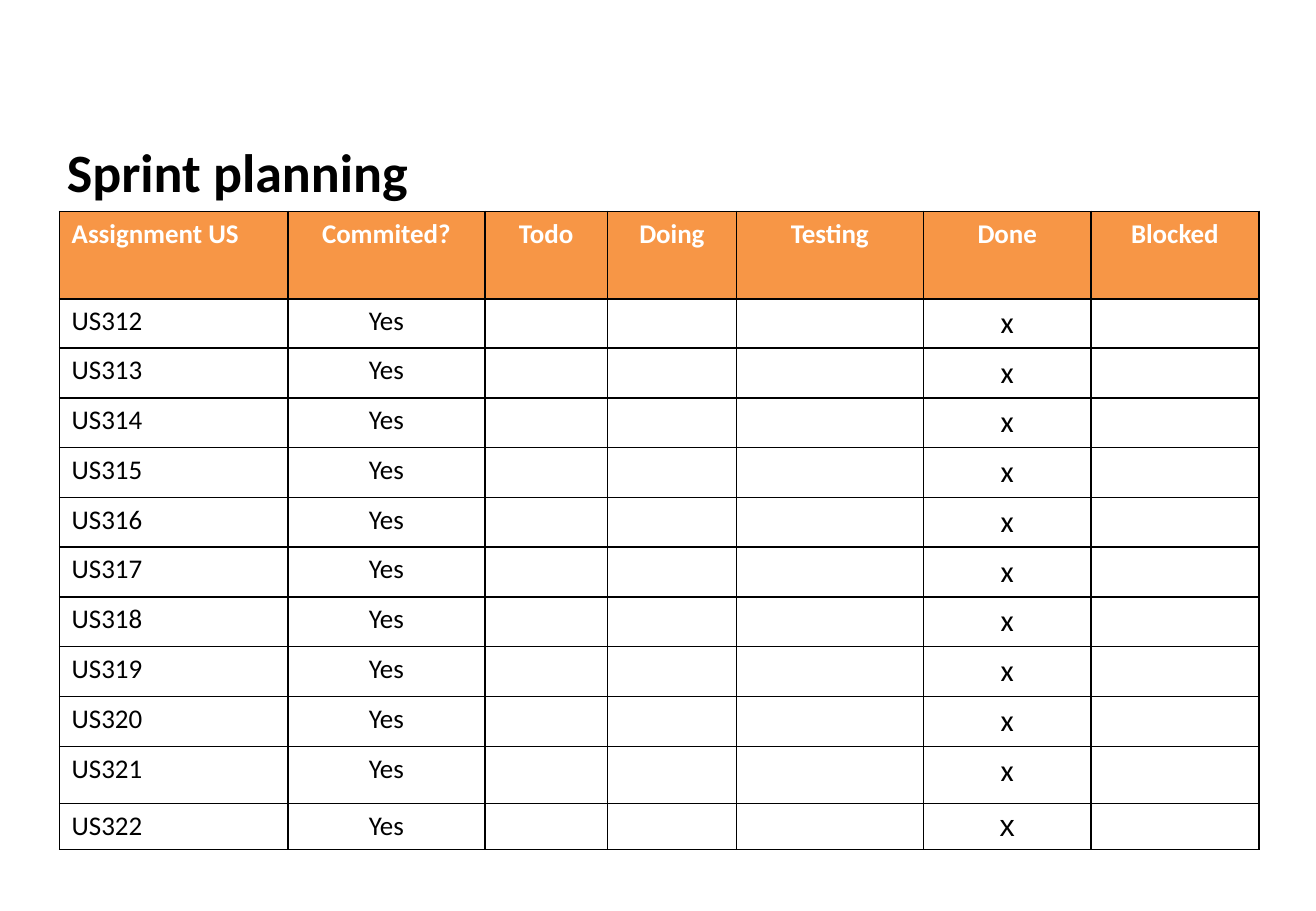
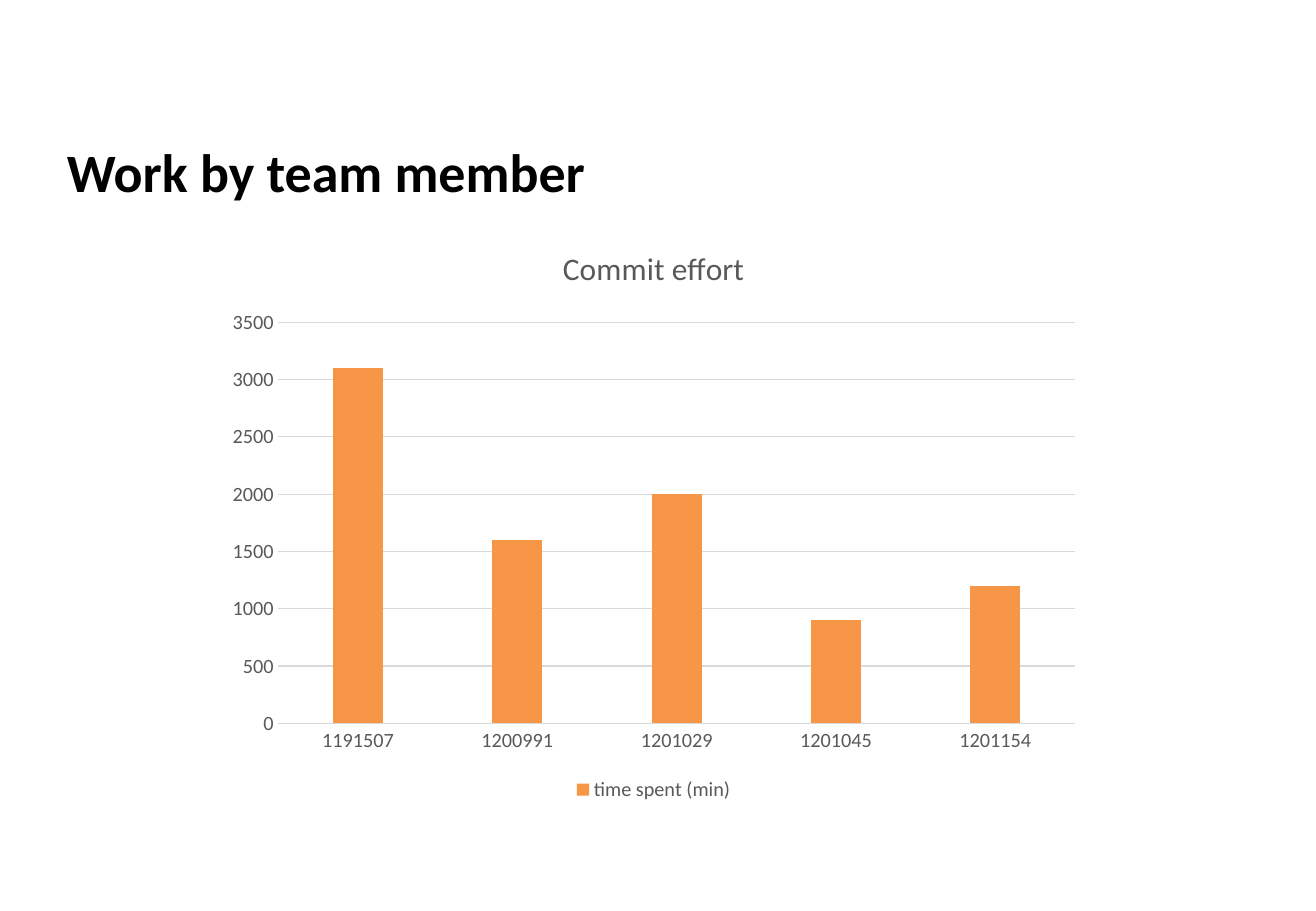
"""Build two sprint review slides: a planning table and a work effort chart."""
from lxml import etree
from pptx import Presentation
from pptx.chart.data import CategoryChartData
from pptx.dml.color import RGBColor
from pptx.enum import chart as charts, text
from pptx.oxml import ns
from pptx.util import Inches, Pt

ORANGE = RGBColor(0xF7, 0x96, 0x46)
BLACK = RGBColor(0, 0, 0)
WHITE = RGBColor(255, 255, 255)
GRAY = RGBColor(0x59, 0x59, 0x59)
GRID = RGBColor(0xD9, 0xD9, 0xD9)
FONT = "Calibri"


def style_font(font, size, color, bold=False, name=FONT):
    font.name, font.size, font.bold = name, Pt(size), bold
    font.color.rgb = color


def add_page(deck, heading, width):
    page = deck.slides.add_slide(deck.slide_layouts.get_by_name("Title Only"))
    title = page.shapes.title
    title.left, title.top = Inches(0.45), Inches(1.09)
    title.width, title.height = Inches(width), Inches(0.62)
    frame = title.text_frame
    frame.text = heading
    frame.auto_size = text.MSO_AUTO_SIZE.NONE
    frame.vertical_anchor = text.MSO_ANCHOR.TOP
    para = frame.paragraphs[0]
    para.alignment = text.PP_ALIGN.LEFT
    style_font(para.font, 32, BLACK, bold=True)
    return page


deck = Presentation()
deck.slide_width, deck.slide_height = Inches(10.83), Inches(7.5)

page = add_page(deck, "Sprint planning", 10.08)
headers = ["Assignment US", "Commited?", "Todo", "Doing", "Testing", "Done", "Blocked"]
stories = [[f"US{number}", "Yes", "", "", "", "x", ""] for number in range(312, 323)]
rows = [headers] + stories
widths = [1.88, 1.62, 1.01, 1.06, 1.54, 1.38, 1.38]
heights = [0.72, 0.4] + [0.41] * 8 + [0.47, 0.38]
table = page.shapes.add_table(
    len(rows), len(headers), Inches(0.49), Inches(1.74),
    Inches(sum(widths)), Inches(sum(heights))).table
table.first_row = table.horz_banding = False
for column, width in zip(table.columns, widths):
    column.width = Inches(width)
for row, height in zip(table.rows, heights):
    row.height = Inches(height)

for r, words in enumerate(rows):
    for c, word in enumerate(words):
        cell = table.cell(r, c)
        cell.text = word
        para = cell.text_frame.paragraphs[0]
        para.alignment = text.PP_ALIGN.CENTER if c else text.PP_ALIGN.LEFT
        name = "Arial" if word == "x" and r == len(rows) - 1 else FONT
        style_font(para.font, 18 if word == "x" else 16,
                   BLACK if r else WHITE, bold=r == 0, name=name)
        properties = cell._tc.get_or_add_tcPr()
        for side in ("a:lnL", "a:lnR", "a:lnT", "a:lnB"):
            border = etree.SubElement(properties, ns.qn(side), w=str(Pt(0.96)))
            paint = etree.SubElement(border, ns.qn("a:solidFill"))
            etree.SubElement(paint, ns.qn("a:srgbClr"), val=str(BLACK))
        if r:
            cell.fill.background()
        else:
            cell.fill.solid()
            cell.fill.fore_color.rgb = ORANGE

page = add_page(deck, "Work by team member", 9.89)
effort = CategoryChartData()
effort.categories = ["1191507", "1200991", "1201029", "1201045", "1201154"]
effort.add_series("time spent (min)", [3100, 1600, 2000, 900, 1200])
chart = page.shapes.add_chart(
    charts.XL_CHART_TYPE.COLUMN_CLUSTERED, Inches(1.77), Inches(1.83),
    Inches(7.22), Inches(4.81), effort).chart
style_font(chart.font, 12, GRAY)

chart.has_title = True
chart.chart_title.include_in_layout = False
chart.chart_title.text_frame.text = "Commit effort"
style_font(chart.chart_title.text_frame.paragraphs[0].font, 18.6, GRAY)
chart.has_legend = True
chart.legend.position = charts.XL_LEGEND_POSITION.BOTTOM
chart.legend.include_in_layout = False

plot = chart.plots[0]
plot.gap_width, plot.overlap = 219, -27
plot.vary_by_categories = False
bars = plot.series[0].format.fill
bars.solid()
bars.fore_color.rgb = ORANGE

for axis in (chart.category_axis, chart.value_axis):
    axis.major_tick_mark = axis.minor_tick_mark = charts.XL_TICK_MARK.NONE
chart.value_axis.format.line.fill.background()
chart.value_axis.has_major_gridlines = True
for line in (chart.category_axis.format.line,
             chart.value_axis.major_gridlines.format.line):
    line.width = Pt(0.75)
    line.color.rgb = GRID

deck.save("out.pptx")
